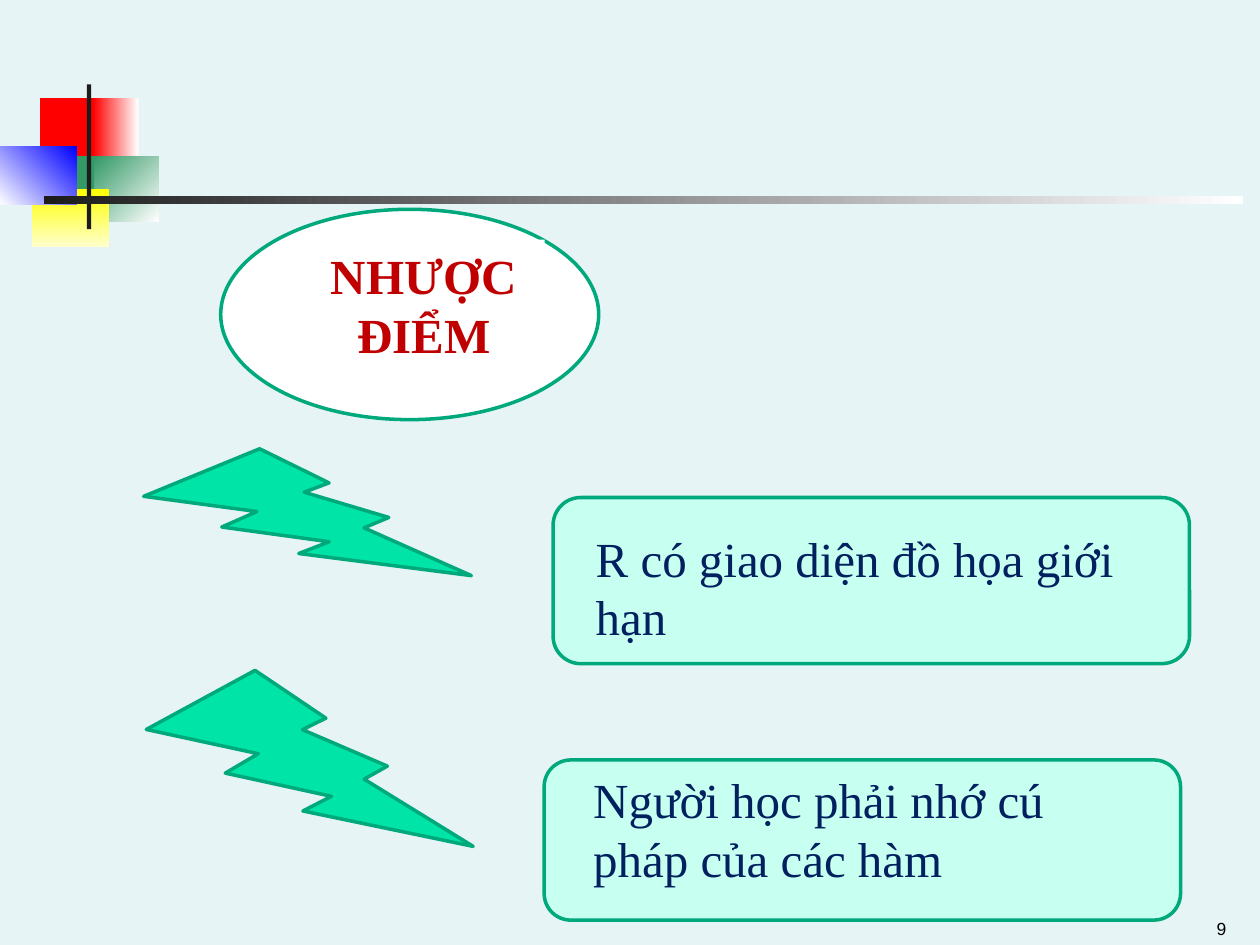
"""Builds the slide on the drawbacks of R: a titled ellipse and two marked points."""
from dataclasses import dataclass

from pptx import Presentation
from pptx.dml.color import RGBColor
from pptx.dml.fill import FillFormat
from pptx.enum.shapes import MSO_SHAPE
from pptx.enum.text import MSO_ANCHOR, PP_ALIGN
from pptx.shapes.autoshape import Shape
from pptx.slide import Slide
from pptx.util import Cm, Pt

SERIF = "Times New Roman"
EDGE = "00A97C"
BOLT = "00E4A8"
PANEL = "C7FFF0"
WHITE = "FFFFFF"
NAVY = "002060"


@dataclass(frozen=True)
class Box:
    left: float
    top: float
    width: float
    height: float

    def lengths(self) -> tuple[Cm, Cm, Cm, Cm]:
        return Cm(self.left), Cm(self.top), Cm(self.width), Cm(self.height)


@dataclass(frozen=True)
class Figure:
    box: Box
    fill: str
    fade_to: str | None = None
    angle: float = 0
    kind: MSO_SHAPE = MSO_SHAPE.RECTANGLE
    edge: str | None = None
    rotation: float = 0


ORNAMENT = [
    Figure(Box(0.81, 1.98, 1.22, 1.32), "FF0000"),
    Figure(Box(1.88, 1.98, 0.91, 1.32), "FF0000", WHITE),
    Figure(Box(1.9, 3.15, 1.3, 1.32), "339966", WHITE, 315),
    Figure(Box(1.09, 3.15, 0.81, 1.32), "339966"),
    Figure(Box(0.64, 3.81, 1.55, 1.17), "FFFF00", "FFFFCC", 270),
    Figure(Box(0, 2.95, 1.55, 1.17), WHITE, "0000FF", 45),
    Figure(Box(1.75, 1.7, 0.09, 2.92), "1C1C1C"),
    Figure(Box(0.89, 3.96, 24.16, 0.15), "1C1C1C", WHITE),
]

CONTENT = [
    Figure(Box(3.15, 13.36, 6.05, 4.29), BOLT, kind=MSO_SHAPE.LIGHTNING_BOLT,
           edge=EDGE, rotation=349.5),
    Figure(Box(3.02, 8.92, 6.27, 3.2), BOLT, kind=MSO_SHAPE.LIGHTNING_BOLT,
           edge=EDGE, rotation=350.9),
    Figure(Box(11.15, 10.03, 12.83, 3.35), PANEL, kind=MSO_SHAPE.ROUNDED_RECTANGLE, edge=EDGE),
    Figure(Box(10.97, 15.32, 12.83, 3.23), PANEL, kind=MSO_SHAPE.ROUNDED_RECTANGLE, edge=EDGE),
    Figure(Box(4.45, 4.22, 7.62, 4.24), WHITE, kind=MSO_SHAPE.OVAL, edge=EDGE),
]


def colour(value: str) -> RGBColor:
    return RGBColor.from_string(value)


def paint(fill: FillFormat, value: str) -> None:
    fill.solid()
    fill.fore_color.rgb = colour(value)


def draw_figure(slide: Slide, figure: Figure) -> Shape:
    shape = slide.shapes.add_shape(figure.kind, *figure.box.lengths())
    shape.shadow.inherit = False
    shape.rotation = figure.rotation
    if figure.fade_to:
        shape.fill.gradient()
        shape.fill.gradient_angle = figure.angle
        for stop, value in zip(shape.fill.gradient_stops, (figure.fill, figure.fade_to)):
            stop.color.rgb = colour(value)
            stop.position = float(value == figure.fade_to)
    else:
        paint(shape.fill, figure.fill)
    if figure.edge:
        paint(shape.line.fill, figure.edge)
        shape.line.width = Pt(2)
    else:
        shape.line.fill.background()
    return shape


def write(slide: Slide, text: str, box: Box, *, size: float = 28, font: str = SERIF,
          ink: str = NAVY, bold: bool = False, align: PP_ALIGN = PP_ALIGN.LEFT,
          anchor: MSO_ANCHOR = MSO_ANCHOR.TOP, back: str | None = None) -> None:
    label = slide.shapes.add_textbox(*box.lengths())
    if back:
        paint(label.fill, back)
    frame = label.text_frame
    frame.word_wrap = True
    frame.vertical_anchor = anchor
    paragraph = frame.paragraphs[0]
    paragraph.alignment = align
    run = paragraph.add_run()
    run.text = text
    run.font.size = Pt(size)
    run.font.name = font
    run.font.bold = bold
    run.font.color.rgb = colour(ink)


def main() -> None:
    deck = Presentation()
    deck.slide_width, deck.slide_height = Cm(25.4), Cm(19.05)
    slide = deck.slides.add_slide(deck.slide_layouts[6])
    paint(slide.background.fill, "E7F4F5")
    for figure in ORNAMENT:
        draw_figure(slide, figure)
    write(slide, "9", Box(19.05, 18.16, 5.92, 0.89), size=10, font="Arial", ink="000000",
          align=PP_ALIGN.RIGHT, anchor=MSO_ANCHOR.BOTTOM)
    for figure in CONTENT:
        draw_figure(slide, figure)
    write(slide, "NHƯỢC ĐIỂM", Box(6.1, 4.83, 4.88, 2.64), ink="C00000", bold=True,
          align=PP_ALIGN.CENTER, back=WHITE)
    write(slide, "R có giao diện đồ họa giới hạn", Box(11.76, 10.52, 12.5, 3.51))
    write(slide, "Người học phải nhớ cú pháp của các hàm", Box(11.71, 15.39, 11.73, 2.64))
    deck.save("out.pptx")


if __name__ == "__main__":
    main()
